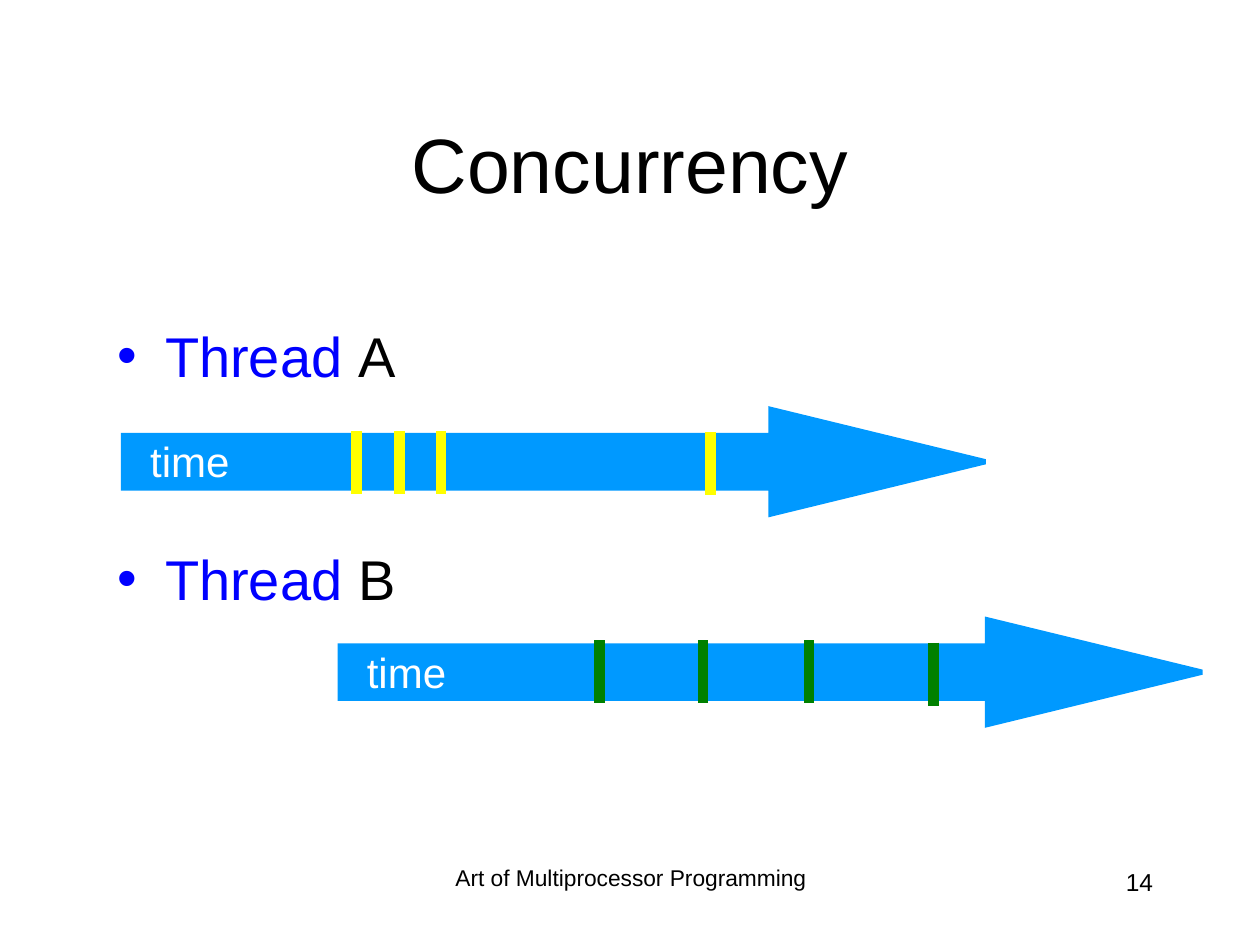
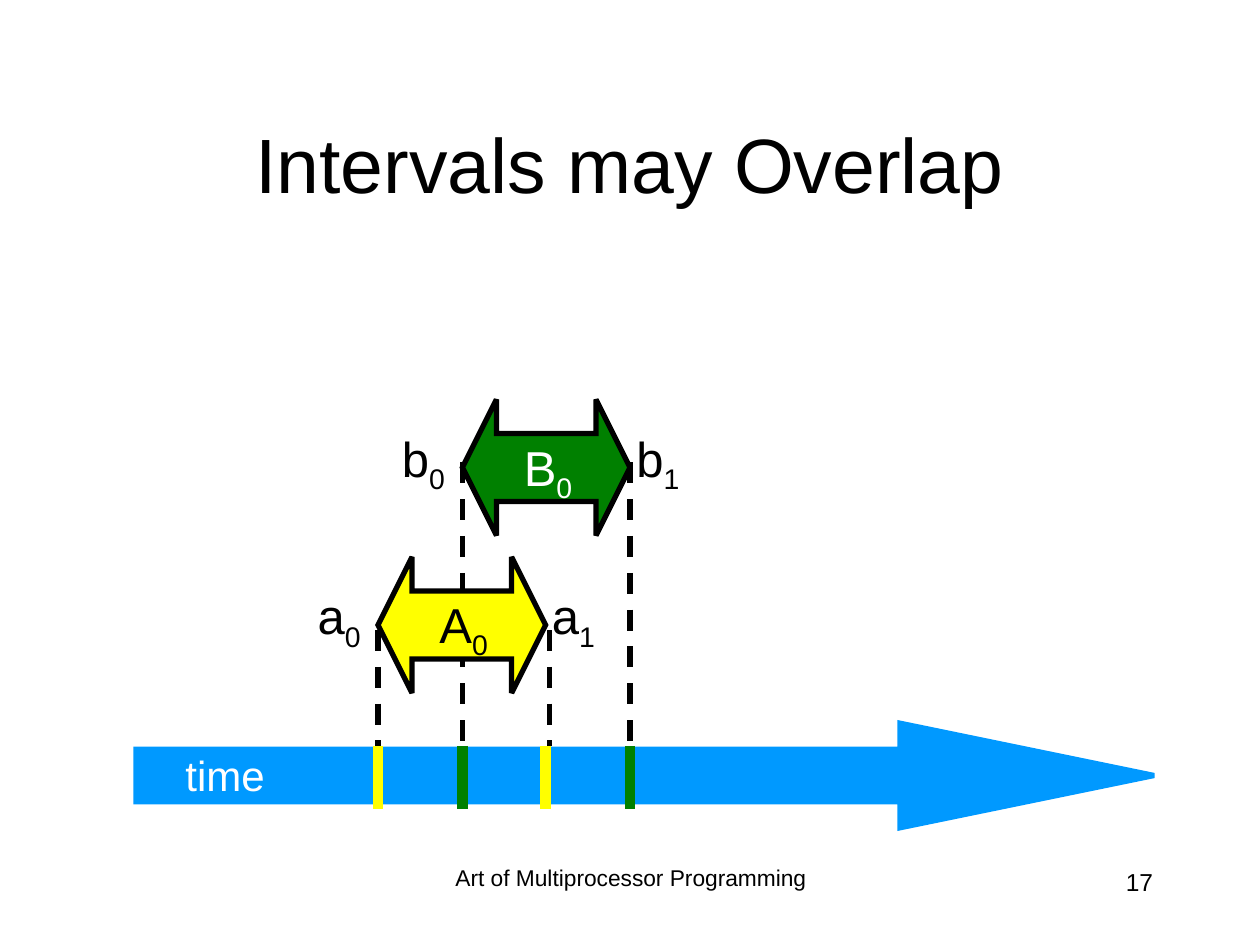
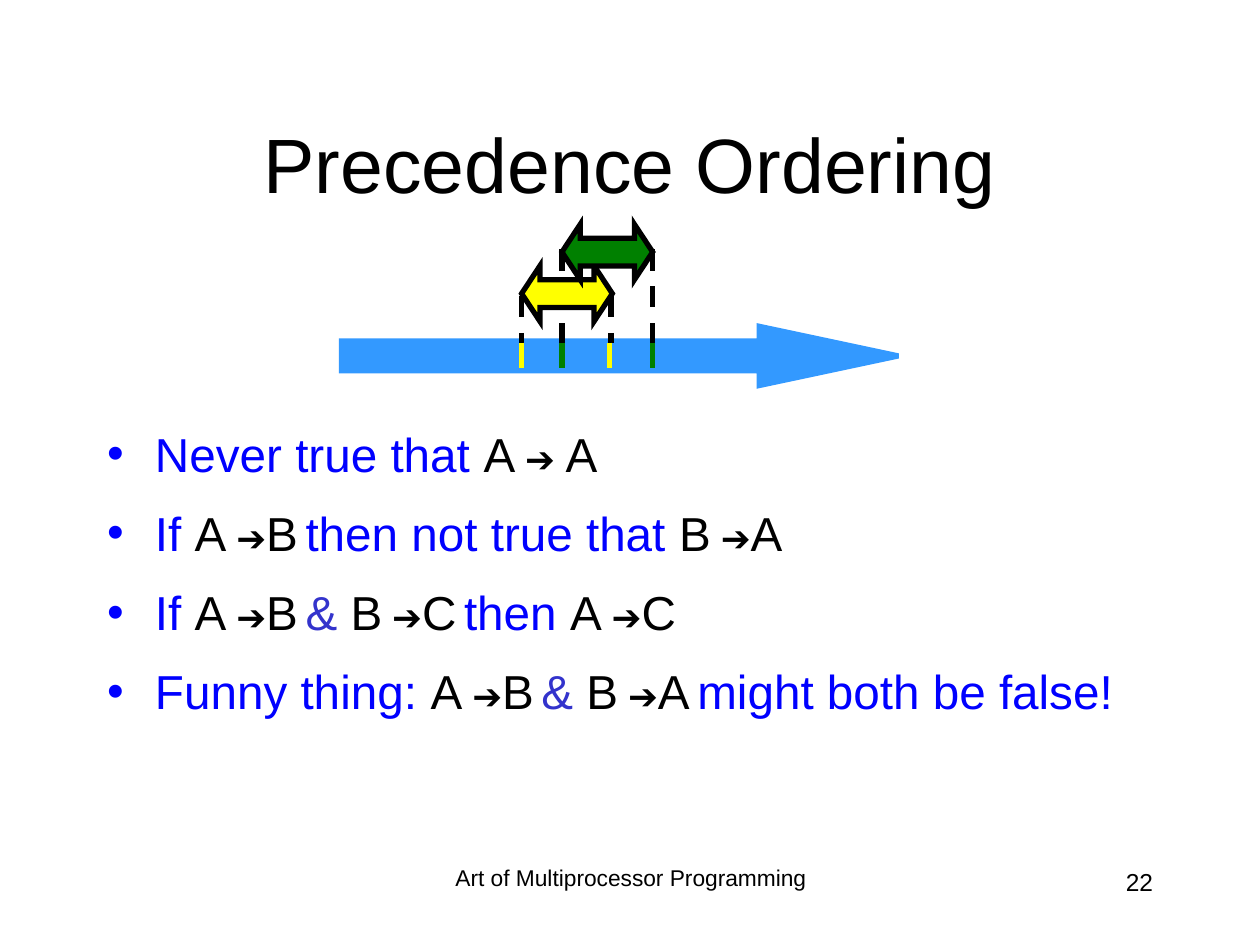
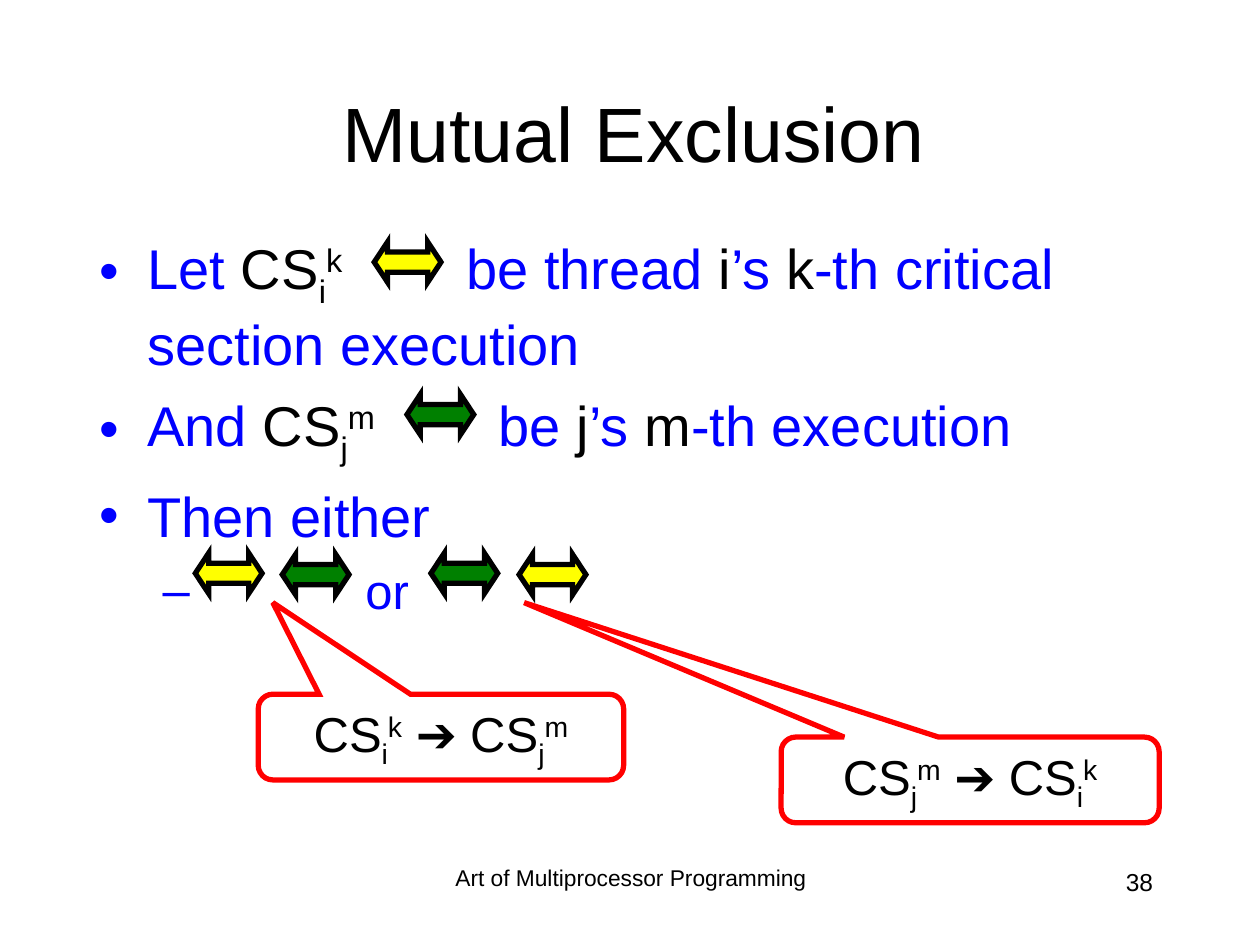
from dataclasses import dataclass
from typing import Optional

import lxml.etree
import pptx
import pptx.dml.color
import pptx.enum.dml
import pptx.enum.shapes
import pptx.enum.text
import pptx.oxml.ns
import pptx.util

SHAPE = pptx.enum.shapes.MSO_SHAPE
ALIGN = pptx.enum.text.PP_ALIGN
ANCHOR = pptx.enum.text.MSO_ANCHOR
AUTO_SIZE = pptx.enum.text.MSO_AUTO_SIZE

# Shared look: 100 px to the inch
EMU_PER_PX = 9144
FONT = "Arial"
BLACK, WHITE, RED = "000000", "FFFFFF", "FF0000"
BLUE, INDIGO = "0000FF", "3333CC"
AXIS, PALE_AXIS = "0099FF", "3399FF"
YELLOW, GREEN = "FFFF00", "008000"
FOOTER = "Art of Multiprocessor Programming"
SUB, SUPER = -25, 30


@dataclass
class Box:
    left: int
    top: int
    width: int
    height: int


@dataclass
class Span:
    text: str
    color: str = BLACK
    size: Optional[float] = None
    base: int = 0
    gap: float = 0


@dataclass
class Axis:
    box: Box
    head: float
    color: str = AXIS
    label_dx: Optional[int] = None


@dataclass
class Interval:
    box: Box
    color: str
    dash_top: int
    dash_bottom: int
    dash_right: int
    tick_right: int
    name: str = ""
    text_color: str = BLACK


@dataclass
class Bullet:
    spans: list[Span]
    before: float = 8
    char: str = "•"
    level: int = 0
    margin: int = 38
    indent: int = -38


TITLE_BOX = Box(75, 67, 850, 125)


# Basic helpers
def px(n: int) -> int:
    return pptx.util.Emu(n * EMU_PER_PX)


def rgb(color: str) -> pptx.dml.color.RGBColor:
    return pptx.dml.color.RGBColor.from_string(color)


def place(sp, box: Box) -> None:
    sp.left, sp.top = px(box.left), px(box.top)
    sp.width, sp.height = px(box.width), px(box.height)


def sub_element(parent, tag: str, **attrs: str):
    el = lxml.etree.SubElement(parent, pptx.oxml.ns.qn(tag))
    for key, value in attrs.items():
        el.set(key, value)
    return el


def add_run(p, text: str, *, size: float, color: str = BLACK,
            base: int = 0, gap: float = 0) -> None:
    """Add formatted text; base is a percentage shift, gap widens its spacing."""
    r = p.add_run()
    r.text = text
    r.font.name, r.font.size = FONT, pptx.util.Pt(size)
    r.font.color.rgb = rgb(color)
    r_pr = r._r.get_or_add_rPr()
    if base:
        r_pr.set("baseline", str(base * 1000))
    if gap:
        r_pr.set("spc", str(round(gap * 100)))


def add_spans(p, spans: list[Span], size: float) -> None:
    for s in spans:
        add_run(p, s.text, size=s.size or size, color=s.color, base=s.base, gap=s.gap)


def add_label(slide, box: Box, spans: list[Span], size: float,
              align=ALIGN.RIGHT, wrap: bool = False):
    sp = slide.shapes.add_textbox(px(box.left), px(box.top), px(box.width), px(box.height))
    tf = sp.text_frame
    tf.word_wrap = wrap
    tf.auto_size = AUTO_SIZE.NONE if wrap else AUTO_SIZE.SHAPE_TO_FIT_TEXT
    p = tf.paragraphs[0]
    p.alignment = align
    add_spans(p, spans, size)
    return p


def add_shape(slide, kind, box: Box, adj: list[float], line: str,
              fill: Optional[str] = None):
    sp = slide.shapes.add_shape(kind, px(box.left), px(box.top), px(box.width), px(box.height))
    sp.shadow.inherit = False
    for i, value in enumerate(adj):
        sp.adjustments[i] = value
    if fill:
        sp.fill.solid()
        sp.fill.fore_color.rgb = rgb(fill)
    else:
        sp.fill.background()
    sp.line.color.rgb = rgb(line)
    sp.line.width = pptx.util.Pt(3)
    ln = sp._element.spPr.find(pptx.oxml.ns.qn("a:ln"))
    sub_element(ln, "a:miter", lim="800000")
    return sp


def add_vertical(slide, x: int, top: int, bottom: int, color: str,
                 width: float, dashed: bool = False) -> None:
    c = slide.shapes.add_connector(pptx.enum.shapes.MSO_CONNECTOR.STRAIGHT,
                                   px(x), px(top), px(x), px(bottom))
    c.line.color.rgb = rgb(color)
    c.line.width = pptx.util.Pt(width)
    if dashed:
        c.line.dash_style = pptx.enum.dml.MSO_LINE.DASH
    sub_element(c._element.spPr, "a:effectLst")


# Slide frame: title, optional list, footer and number
def new_slide(prs, title: str, number: int, has_body: bool, title_box: Box = TITLE_BOX):
    slide = prs.slides.add_slide(prs.slide_layouts[1 if has_body else 5])
    place(slide.shapes.title, title_box)
    tf = slide.shapes.title.text_frame
    tf.auto_size = AUTO_SIZE.NONE
    tf.vertical_anchor = ANCHOR.MIDDLE
    tf.paragraphs[0].alignment = ALIGN.CENTER
    add_run(tf.paragraphs[0], title, size=44)
    p = add_label(slide, Box(342, 683, 317, 50), [Span(FOOTER)], 13, ALIGN.CENTER, True)
    p.line_spacing = 0.9
    add_label(slide, Box(717, 683, 208, 50), [Span(str(number))], 14, wrap=True)
    return slide


def fill_body(slide, box: Box, bullets: list[Bullet], size: float) -> None:
    body = slide.placeholders[1]
    place(body, box)
    tf = body.text_frame
    tf.auto_size = AUTO_SIZE.NONE
    tf.vertical_anchor = ANCHOR.TOP
    for i, b in enumerate(bullets):
        p = tf.add_paragraph() if i else tf.paragraphs[0]
        p.level = b.level
        p.space_before = pptx.util.Pt(b.before if i else 0)
        p_pr = p._p.get_or_add_pPr()
        p_pr.set("marL", str(px(b.margin)))
        p_pr.set("indent", str(px(b.indent)))
        sub_element(sub_element(p_pr, "a:buClr"), "a:srgbClr", val=BLUE)
        sub_element(p_pr, "a:buFont", typeface=FONT)
        sub_element(p_pr, "a:buChar", char=b.char)
        add_spans(p, b.spans, size)


# Timeline parts
def draw_axis(slide, axis: Axis) -> None:
    add_shape(slide, SHAPE.RIGHT_ARROW, axis.box, [0.5, axis.head], axis.color, axis.color)
    if axis.label_dx is not None:
        label = Box(axis.box.left + axis.label_dx, axis.box.top + 16, 83, 50)
        add_label(slide, label, [Span("time", WHITE)], 24)


def draw_double_arrow(slide, box: Box, color: str, head: float) -> None:
    sp = add_shape(slide, SHAPE.LEFT_RIGHT_ARROW, box, [0.5, head], BLACK, color)
    sp.rotation = 180


def draw_intervals(slide, intervals: list[Interval], head: float,
                   tick_top: int, tick_height: int, tick_width: float) -> None:
    for v in intervals:
        for x in (v.box.left, v.dash_right):
            add_vertical(slide, x, v.dash_top, v.dash_bottom, BLACK, 3, dashed=True)
    for v in intervals:
        draw_double_arrow(slide, v.box, v.color, head)
        for x in (v.box.left, v.tick_right):
            add_vertical(slide, x, tick_top, tick_top + tick_height, v.color, tick_width)
        if v.name:
            low = v.name.lower()
            for text, index, color, dx, dy, width in (
                    (low, "0", BLACK, -58, 18, 54),
                    (low, "1", BLACK, 128, 18, 54),
                    (v.name, "0", v.text_color, 37, 25, 60)):
                add_label(slide, Box(v.box.left + dx, v.box.top + dy, width, 63),
                          [Span(text, color), Span(index, color, base=SUB)], 28)


# Text patterns
def blue(text: str) -> Span:
    return Span(text, BLUE)


def precedes(a: str, b: str) -> list[Span]:
    return [Span(a), Span(" ➔", size=20.4), Span(b)]


def critical(thread: str, turn: str) -> list[Span]:
    return [Span("CS"), Span(thread, base=SUB), Span(turn, base=SUPER)]


# Slides
def concurrency(prs) -> None:
    slide = new_slide(prs, "Concurrency", 14, True)
    fill_body(slide, Box(83, 250, 850, 358),
              [Bullet([blue("Thread "), Span("A")]),
               Bullet([blue("Thread "), Span("B")], before=89)], 32)
    for left, top in ((270, 492), (98, 325)):
        draw_axis(slide, Axis(Box(left, top, 684, 83), 2.05, label_dx=11))
    events = ((YELLOW, 342, (283, 317, 350)), (YELLOW, 343, (564,)),
              (GREEN, 508, (476, 558, 642)), (GREEN, 510, (741,)))
    for color, top, places in events:
        for x in places:
            add_vertical(slide, x, top, top + 50, color, 6)


def overlap(prs) -> None:
    slide = new_slide(prs, "Intervals may Overlap", 17, False)
    draw_axis(slide, Axis(Box(108, 574, 808, 83), 2.43, label_dx=29))
    draw_intervals(slide, [
        Interval(Box(300, 442, 133, 108), YELLOW, 500, 592, 436, 433, "A"),
        Interval(Box(367, 317, 133, 108), GREEN, 367, 642, 500, 500, "B", WHITE),
    ], head=0.25, tick_top=592, tick_height=50, tick_width=6)


def precedence(prs) -> None:
    slide = new_slide(prs, "Precedence Ordering", 22, True)
    draw_axis(slide, Axis(Box(271, 259, 442, 47), 2.35, PALE_AXIS))
    draw_intervals(slide, [
        Interval(Box(414, 211, 72, 44), YELLOW, 235, 272, 485, 484),
        Interval(Box(446, 178, 72, 44), GREEN, 198, 292, 518, 518),
    ], head=0.33, tick_top=272, tick_height=20, tick_width=3)
    thin = Span(" ", size=15.3)  # narrow space after a relation
    both = [thin, Span("& ", INDIGO)]
    rules = [
        [blue("Never true that "), *precedes("A", " A")],
        [blue("If "), *precedes("A", "B"), thin,
         blue("then not true that "), *precedes("B", "A")],
        [blue("If "), *precedes("A", "B"), *both, *precedes("B", "C"), thin,
         blue("then "), *precedes("A", "C")],
        [blue("Funny thing: "), *precedes("A", "B"), *both, *precedes("B", "A"), thin,
         blue("might both be false!")],
    ]
    fill_body(slide, Box(75, 332, 850, 308), [Bullet(r, before=12.6) for r in rules], 27.2)


def mutual_exclusion(prs) -> None:
    slide = new_slide(prs, "Mutual Exclusion", 38, True, Box(78, 42, 850, 125))
    room = Span(" ", BLUE, gap=62)  # one wide space holds the arrow
    fill_body(slide, Box(69, 180, 903, 454), [
        Bullet([blue("Let "), *critical("i", "k"), room, blue("be thread "), Span("i"),
                blue("’s "), Span("k"), blue("-th critical section execution")]),
        Bullet([blue("And "), *critical("j", "m"), room, blue("be "), Span("j"),
                blue("’s "), Span("m"), blue("-th execution")]),
        Bullet([blue("Then either")]),
        Bullet([Span("or", BLUE, 28)], before=7, char="–", level=1,
               margin=211, indent=-161),
    ], 32)
    for left, top, color in ((297, 192, YELLOW), (323, 313, GREEN),
                             (155, 439, YELLOW), (224, 440, GREEN),
                             (342, 439, GREEN), (412, 440, YELLOW)):
        draw_double_arrow(slide, Box(left, top, 53, 32), color, 0.33)
    first, second = critical("i", "k"), critical("j", "m")
    for box, tip, a, b in ((Box(205, 551, 290, 68), (-0.46, -1.57), first, second),
                           (Box(620, 585, 300, 68), (-1.18, -2.07), second, first)):
        sp = add_shape(slide, SHAPE.ROUNDED_RECTANGULAR_CALLOUT, box, [*tip, 0.17], RED)
        sp.text_frame.vertical_anchor = ANCHOR.MIDDLE
        p = sp.text_frame.paragraphs[0]
        p.alignment = ALIGN.CENTER
        add_spans(p, [*a, Span(" ➔ "), *b], 28)


def main() -> None:
    prs = pptx.Presentation()
    prs.slide_width, prs.slide_height = px(1000), px(750)
    for build in (concurrency, overlap, precedence, mutual_exclusion):
        build(prs)
    prs.save("out.pptx")


if __name__ == "__main__":
    main()
